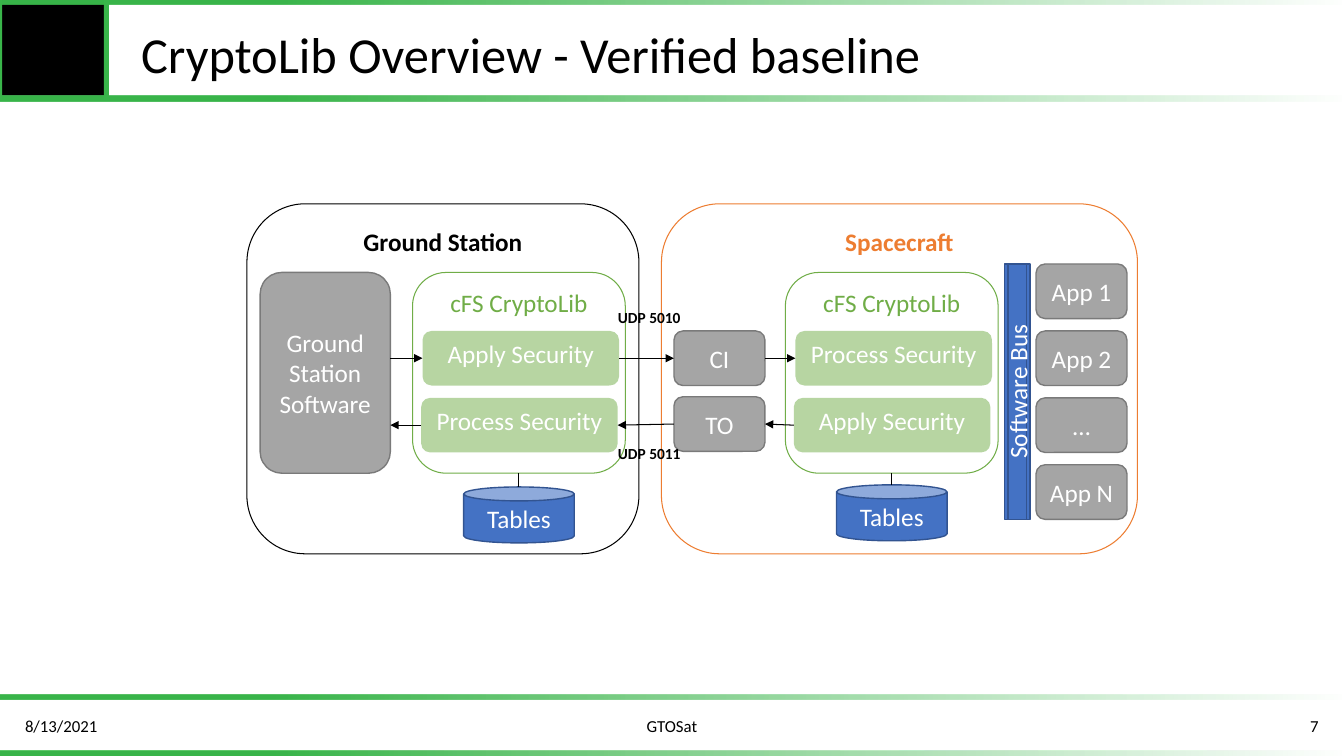
from lxml import etree
from pptx import Presentation
from pptx.dml.color import RGBColor
from pptx.enum.shapes import MSO_CONNECTOR, MSO_SHAPE
from pptx.enum.text import MSO_ANCHOR, PP_ALIGN
from pptx.oxml.ns import qn
from pptx.util import Pt

RECT, ROUND, CAN = MSO_SHAPE.RECTANGLE, MSO_SHAPE.ROUNDED_RECTANGLE, MSO_SHAPE.CAN
BUS = MSO_SHAPE.FLOWCHART_PREDEFINED_PROCESS
LEFT, CENTER, RIGHT = PP_ALIGN.LEFT, PP_ALIGN.CENTER, PP_ALIGN.RIGHT
TOP, MIDDLE = MSO_ANCHOR.TOP, MSO_ANCHOR.MIDDLE
SITE_LEFT, SITE_BOTTOM, SITE_RIGHT = 1, 2, 3

BLACK, WHITE, BRAND = "000000", "FFFFFF", "39B54A"
GREEN, ORANGE, BLUE, GRAY = "70AD47", "ED7D31", "4472C4", "A5A5A5"
BLUE_EDGE, GRAY_EDGE = "325491", "7A7A7A"
WIDTH, HEIGHT = 960, 540

# Content
TITLE = "CryptoLib Overview - Verified baseline"
FOOTER = [("8/13/2021", 10.8, 216, LEFT), ("GTOSat", 318, 324, CENTER), ("7", 733, 216, RIGHT)]
BAND_TOPS = [-0.5, 68.4, 496, 536.5]
FRAMES = [("Ground Station", 176.4, 280, BLACK), ("Spacecraft", 472.5, 340, ORANGE)]
# left of library, top of its tables, then (text, left) of its two services
LIBRARIES = [
    (294.7, 347.8, [("Apply Security", 301.8), ("Process Security", 300.8)]),
    (561, 346.3, [("Process Security", 568.2), ("Apply Security", 567)]),
]
APPS = ["App 1", "App 2", "…", "App N"]
PORTS = [("UDP 5010", 216.7), ("UDP 5011", 313.9)]

# Shared measures
ROW_TOP, ROW_STEP, ROW_HEIGHT = 188.6, 47.8, 39
LIBRARY_TOP, LIBRARY_WIDTH, LIBRARY_HEIGHT = 194.6, 152, 143.4
TABLES_WIDTH, UNIT_WIDTH, SERVICE_WIDTH = 79, 65, 140.4

deck = Presentation()
deck.slide_width, deck.slide_height = Pt(WIDTH), Pt(HEIGHT)
page = deck.slides.add_slide(deck.slide_layouts[5])


def color(value):
    return RGBColor.from_string(value)


def row_top(row):
    return ROW_TOP + row * ROW_STEP


def write(box, text, size, ink, align=CENTER, anchor=MIDDLE, bold=False):
    frame = box.text_frame
    frame.text, frame.word_wrap, frame.vertical_anchor = text, True, anchor
    para = frame.paragraphs[0]
    para.alignment = align
    font = para.runs[0].font
    font.name, font.size, font.bold = "Calibri", Pt(size), bold
    font.color.rgb = color(ink)
    return frame


def add_box(kind, left, top, width, height, fill=None, line=None, weight=1):
    box = page.shapes.add_shape(kind, Pt(left), Pt(top), Pt(width), Pt(height))
    box.shadow.inherit = False
    if fill:
        box.fill.solid()
        box.fill.fore_color.rgb = color(fill)
    else:
        box.fill.background()
    if line:
        box.line.color.rgb = color(line)
        box.line.width = Pt(weight)
    else:
        box.line.fill.background()
    return box


def add_unit(text, left, top, width=UNIT_WIDTH, height=ROW_HEIGHT):
    box = add_box(ROUND, left, top, width, height, GRAY, GRAY_EDGE)
    write(box, text, 18, WHITE)
    return box


def add_label(text, left, top, width, height, size, align=LEFT, anchor=MIDDLE, bold=False):
    box = page.shapes.add_textbox(Pt(left), Pt(top), Pt(width), Pt(height))
    return write(box, text, size, BLACK, align, anchor, bold)


def add_line(x1, y1, x2, y2):
    line = page.shapes.add_connector(MSO_CONNECTOR.STRAIGHT, Pt(x1), Pt(y1), Pt(x2), Pt(y2))
    line.line.color.rgb = color(BLACK)
    line.line.width = Pt(0.75)
    etree.SubElement(line._element.spPr, qn("a:effectLst"))
    return line


def add_arrow(start, start_site, end, end_site):
    arrow = add_line(0, 0, 1, 1)
    arrow.begin_connect(start, start_site)
    arrow.end_connect(end, end_site)
    etree.SubElement(arrow.line._get_or_add_ln(), qn("a:tailEnd"), type="triangle")


def fade_right(box):
    box.fill.gradient()
    box.fill.gradient_angle = 0
    stops = box._element.spPr.find(qn("a:gradFill")).find(qn("a:gsLst"))
    for stop in list(stops):
        stops.remove(stop)
    for place, opacity in [(0, 100), (20, 100), (100, 0)]:
        stop = etree.SubElement(stops, qn("a:gs"), pos=str(place * 1000))
        tint = etree.SubElement(stop, qn("a:srgbClr"), val=BRAND)
        etree.SubElement(tint, qn("a:alpha"), val=str(opacity * 1000))


# Header and footer bands
add_box(RECT, 0, 0, 76.3, 68.4, BLACK)
for top in BAND_TOPS:
    fade_right(add_box(RECT, 0, top, WIDTH, 3.8, BRAND))
for left in (-2, 74.2):
    add_box(RECT, left, -0.5, 3.6, 72, BRAND)

# Title and footer
title = page.shapes.title
title.left, title.top, title.width, title.height = Pt(93.6), Pt(16.6), Pt(816.5), Pt(49)
write(title, TITLE, 36, BLACK, LEFT).paragraphs[0].line_spacing = 0.9
for text, left, width, align in FOOTER:
    add_label(text, left, 504, width, 28.8, 12, align)

# Ground station and spacecraft frames
for text, left, width, ink in FRAMES:
    box = add_box(ROUND, left, 145.6, width, 250, line=ink, weight=0.75)
    write(box, text, 18, ink, anchor=TOP, bold=True)

# Libraries with their services and tables
services = []
for left, tables_top, entries in LIBRARIES:
    library = add_box(ROUND, left, LIBRARY_TOP, LIBRARY_WIDTH, LIBRARY_HEIGHT, line=GREEN, weight=0.75)
    write(library, "cFS CryptoLib", 18, GREEN, anchor=TOP)
    for row, (text, service_left) in enumerate(entries, 1):
        box = add_box(ROUND, service_left, row_top(row), SERVICE_WIDTH, ROW_HEIGHT, GREEN)
        tint = box._element.spPr.find(qn("a:solidFill")).find(qn("a:srgbClr"))
        etree.SubElement(tint, qn("a:alpha"), val="50000")
        write(box, text, 18, WHITE, anchor=TOP)
        services.append(box)
    middle = left + LIBRARY_WIDTH / 2
    tables = add_box(CAN, middle - TABLES_WIDTH / 2, tables_top, TABLES_WIDTH, 40, BLUE, BLUE_EDGE)
    write(tables, "Tables", 18, WHITE)
    stem = add_line(middle, LIBRARY_TOP + LIBRARY_HEIGHT, middle, tables_top)
    stem.begin_connect(library, SITE_BOTTOM)
ground_apply, ground_process, craft_process, craft_apply = services

# Ground software, spacecraft units, bus and apps
software = add_unit("Ground Station Software", 185.8, LIBRARY_TOP, 93, LIBRARY_HEIGHT)
command_in = add_unit("CI", 481.4, row_top(1))
telemetry_out = add_unit("TO", 481.4, row_top(2) - 0.8)
bus = add_box(BUS, 717.7, ROW_TOP, 18, 3 * ROW_STEP + ROW_HEIGHT, BLUE, BLUE_EDGE)
write(bus, "Software Bus", 18, WHITE)._txBody.bodyPr.set("vert", "vert270")
for row, text in enumerate(APPS):
    add_unit(text, 740, row_top(row))

# Arrows: uplink to the right, downlink to the left
for start, end in [(ground_apply, command_in), (command_in, craft_process)]:
    add_arrow(start, SITE_RIGHT, end, SITE_LEFT)
for start, end in [(craft_apply, telemetry_out), (telemetry_out, ground_process)]:
    add_arrow(start, SITE_LEFT, end, SITE_RIGHT)
for y, x1, x2 in [(row_top(1), 278.8, 301.8), (row_top(2), 300.8, 278.8)]:
    arrow = add_line(x1, y + ROW_HEIGHT / 2, x2, y + ROW_HEIGHT / 2)
    etree.SubElement(arrow.line._get_or_add_ln(), qn("a:tailEnd"), type="triangle")

# Port labels
for text, top in PORTS:
    add_label(text, 434.2, top, 63, 20.6, 11, anchor=TOP, bold=True).word_wrap = False

deck.save("out.pptx")
